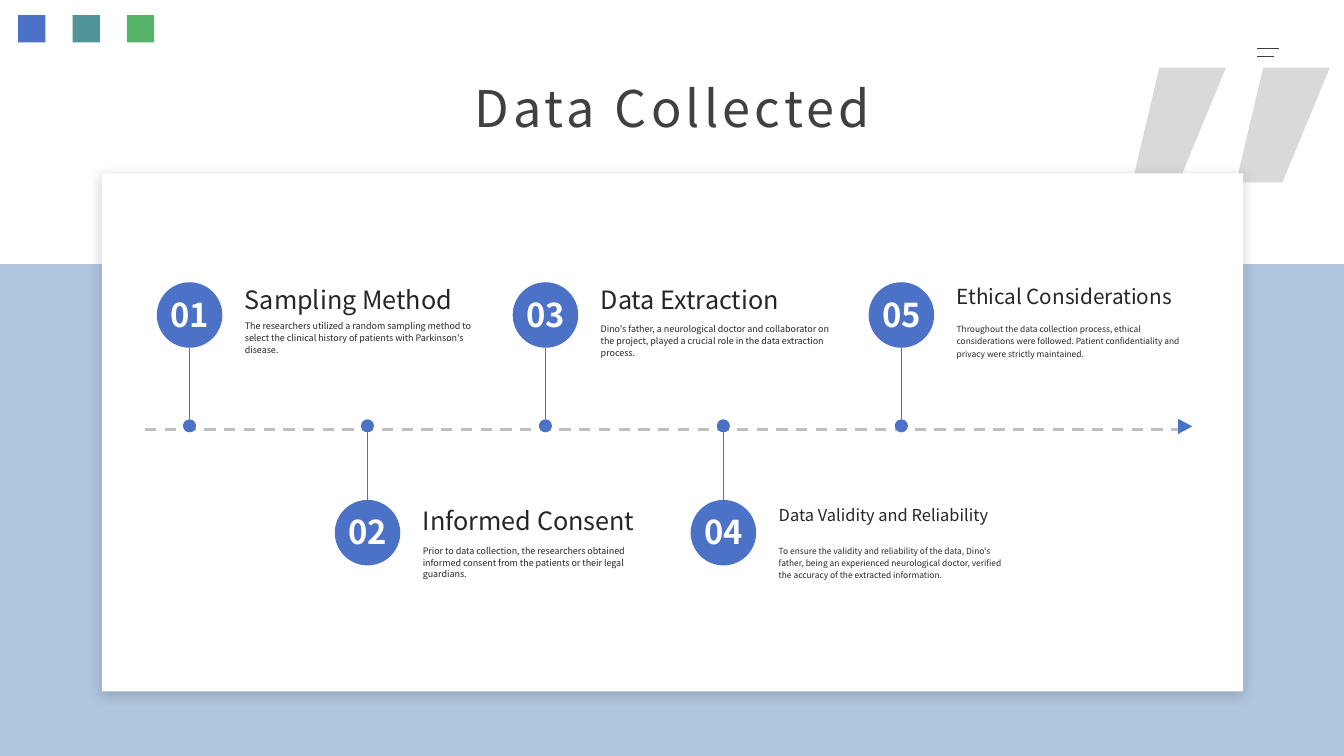
"""Build the Data Collected slide: a five-step timeline on a white panel."""
from collections import namedtuple
from dataclasses import dataclass

from lxml.etree import SubElement
from pptx import Presentation
from pptx.dml.color import RGBColor
from pptx.enum.dml import MSO_LINE as Dash
from pptx.enum.shapes import MSO_CONNECTOR as Connector, MSO_SHAPE as Shape
from pptx.enum.text import PP_ALIGN as Align
from pptx.oxml.ns import qn
from pptx.util import Inches, Pt


@dataclass(frozen=True)
class Theme:
    """Hold the colours and type sizes of the slide."""
    font: str = "Noto Sans CJK SC"
    blue: str = "4C72C7"
    teal: str = "509399"
    green: str = "55B469"
    band: str = "B0C6DE"
    quote: str = "D9D9D9"
    dash: str = "BFBFBF"
    white: str = "FFFFFF"
    dark: str = "404040"
    ink: str = "262626"
    shade: str = "0D0D0D"
    title: float = 36
    number: float = 23.4


THEME = Theme()
Step = namedtuple("Step", "heading heading_size body body_top body_size spacing")
STEPS = [
    Step("Sampling Method", 18,
         "The researchers utilized a random sampling method to select the clinical "
         "history of patients with Parkinson's disease.", 3.12, 6.4, 1.1),
    Step("Informed Consent", 18,
         "Prior to data collection, the researchers obtained informed consent from "
         "the patients or their legal guardians.", 5.35, 6.4, 1.1),
    Step("Data Extraction", 18,
         "Dino's father, a neurological doctor and collaborator on the project, played "
         "a crucial role in the data extraction process.", 3.15, 6.4, 1.1),
    Step("Data Validity and Reliability", 11.7,
         "To ensure the validity and reliability of the data, Dino's father, being an "
         "experienced neurological doctor, verified the accuracy of the extracted "
         "information.", 5.35, 6, 1.2),
    Step("Ethical Considerations", 14.8,
         "Throughout the data collection process, ethical considerations were followed. "
         "Patient confidentiality and privacy were strictly maintained.", 3.15, 6, 1.2),
]
FIRST_X, STEP_GAP = 1.88, 1.765
CIRCLE, DOT, DOT_TOP = 0.65, 0.13, 4.16
UPPER_TOP, LOWER_TOP = 2.8, 4.96


def paint(figure, color):
    """Give a figure a plain fill without line or shadow."""
    figure.shadow.inherit = False
    figure.fill.solid()
    figure.fill.fore_color.rgb = RGBColor.from_string(color)
    figure.line.fill.background()
    return figure


def add_block(slide, kind, box, color):
    """Add a filled preset shape."""
    return paint(slide.shapes.add_shape(kind, *map(Inches, box)), color)


def add_line(slide, start, end, color, width, dash=None):
    """Add a straight line without shadow."""
    line = slide.shapes.add_connector(
        Connector.STRAIGHT, *map(Inches, (*start, *end)))
    line.line.color.rgb = RGBColor.from_string(color)
    for name, value in {"width": Pt(width), "dash_style": dash}.items():
        setattr(line.line, name, value)
    SubElement(line._element.spPr, qn("a:effectLst"))


def add_text(slide, box, text, size, color, bold=False, align=Align.LEFT,
             spacing=1.0, margins=(0.1, 0.05), tracking=0):
    """Add a wrapped one-paragraph text box."""
    frame = slide.shapes.add_textbox(*map(Inches, box)).text_frame
    across, down = map(Inches, margins)
    paragraph = frame.paragraphs[0]
    run = paragraph.add_run()
    run.text = text
    formats = [
        (frame, {"word_wrap": True, "margin_left": across, "margin_right": across,
                 "margin_top": down, "margin_bottom": down}),
        (paragraph, {"alignment": align, "line_spacing": spacing}),
        (run.font, {"name": THEME.font, "size": Pt(size), "bold": bold}),
    ]
    for target, values in formats:
        for name, value in values.items():
            setattr(target, name, value)
    run.font.color.rgb = RGBColor.from_string(color)
    if tracking:
        run._r.get_or_add_rPr().set("spc", str(tracking * 100))


def add_quote_stroke(slide, left):
    """Add one slanted stroke of the quotation mark."""
    top, bottom = 0.67, 1.81
    corners = [(left, bottom), (left + 0.27, top),
               (left + 0.93, top), (left + 0.46, bottom)]
    points = [(Inches(x), Inches(y)) for x, y in corners]
    outline = slide.shapes.build_freeform(*points[0])
    outline.add_line_segments(points[1:], close=True)
    paint(outline.convert_to_shape(), THEME.quote)


def add_panel(slide):
    """Add the white panel with its soft shadow."""
    panel = add_block(slide, Shape.RECTANGLE, (1.01, 1.72, 11.32, 5.14), THEME.white)
    effects = panel._element.spPr.find(qn("a:effectLst"))
    shadow = SubElement(effects, qn("a:outerShdw"), blurRad=str(Pt(10)),
                        dist=str(Pt(3)), dir="5400000", algn="t", rotWithShape="0")
    shade = SubElement(shadow, qn("a:srgbClr"), val=THEME.shade)
    SubElement(shade, qn("a:alpha"), val="20000")


def add_step(slide, index, step):
    """Add one step, above the axis for odd numbers and below for even ones."""
    center = FIRST_X + index * STEP_GAP
    above = index % 2 == 0
    top = UPPER_TOP if above else LOWER_TOP
    left, text_left = center - CIRCLE / 2, center + 0.45
    stem = (top + CIRCLE, DOT_TOP) if above else (DOT_TOP + DOT, top)
    heading_top = 2.77 if above else 4.96

    add_text(slide, (text_left, step.body_top, 2.51, 0.45), step.body,
             step.body_size, THEME.ink, spacing=step.spacing)
    add_text(slide, (text_left, heading_top, 2.51, 0.4), step.heading,
             step.heading_size, THEME.ink)
    add_block(slide, Shape.OVAL, (left, top, CIRCLE, CIRCLE), THEME.blue)
    add_line(slide, (center, stem[0]), (center, stem[1]), THEME.blue, 0.5)
    add_block(slide, Shape.OVAL, (center - DOT / 2, DOT_TOP, DOT, DOT), THEME.blue)
    add_text(slide, (left, top + 0.07, CIRCLE, 0.5), f"{index + 1:02}",
             THEME.number, THEME.white, bold=True, align=Align.CENTER)


def main():
    """Build and save the slide."""
    deck = Presentation()
    deck.slide_width, deck.slide_height = Inches(13.33), Inches(7.5)
    slide = deck.slides.add_slide(deck.slide_layouts[6])

    for index, color in enumerate((THEME.blue, THEME.teal, THEME.green)):
        add_block(slide, Shape.RECTANGLE,
                  (0.18 + index * 0.54, 0.15, 0.27, 0.27), color)
    add_block(slide, Shape.RECTANGLE, (0, 2.62, 13.33, 4.88), THEME.band)
    for left in (12.26, 11.23):
        add_quote_stroke(slide, left)
    add_panel(slide)
    add_text(slide, (1.01, 0.67, 11.32, 0.74), "Data Collected", THEME.title,
             THEME.dark, align=Align.CENTER, spacing=1.1,
             margins=(0.08, 0.04), tracking=3)
    for y, right in ((0.48, 12.69), (0.56, 12.64)):
        add_line(slide, (12.47, y), (right, y), THEME.dark, 1)

    add_line(slide, (1.44, 4.26), (11.68, 4.26), THEME.dash, 2, Dash.DASH)
    for index, step in enumerate(STEPS):
        add_step(slide, index, step)
    arrow = add_block(slide, Shape.ISOSCELES_TRIANGLE,
                      (11.68, 4.16, 0.15, 0.14), THEME.blue)
    arrow.rotation = 90
    deck.save("out.pptx")


if __name__ == "__main__":
    main()
